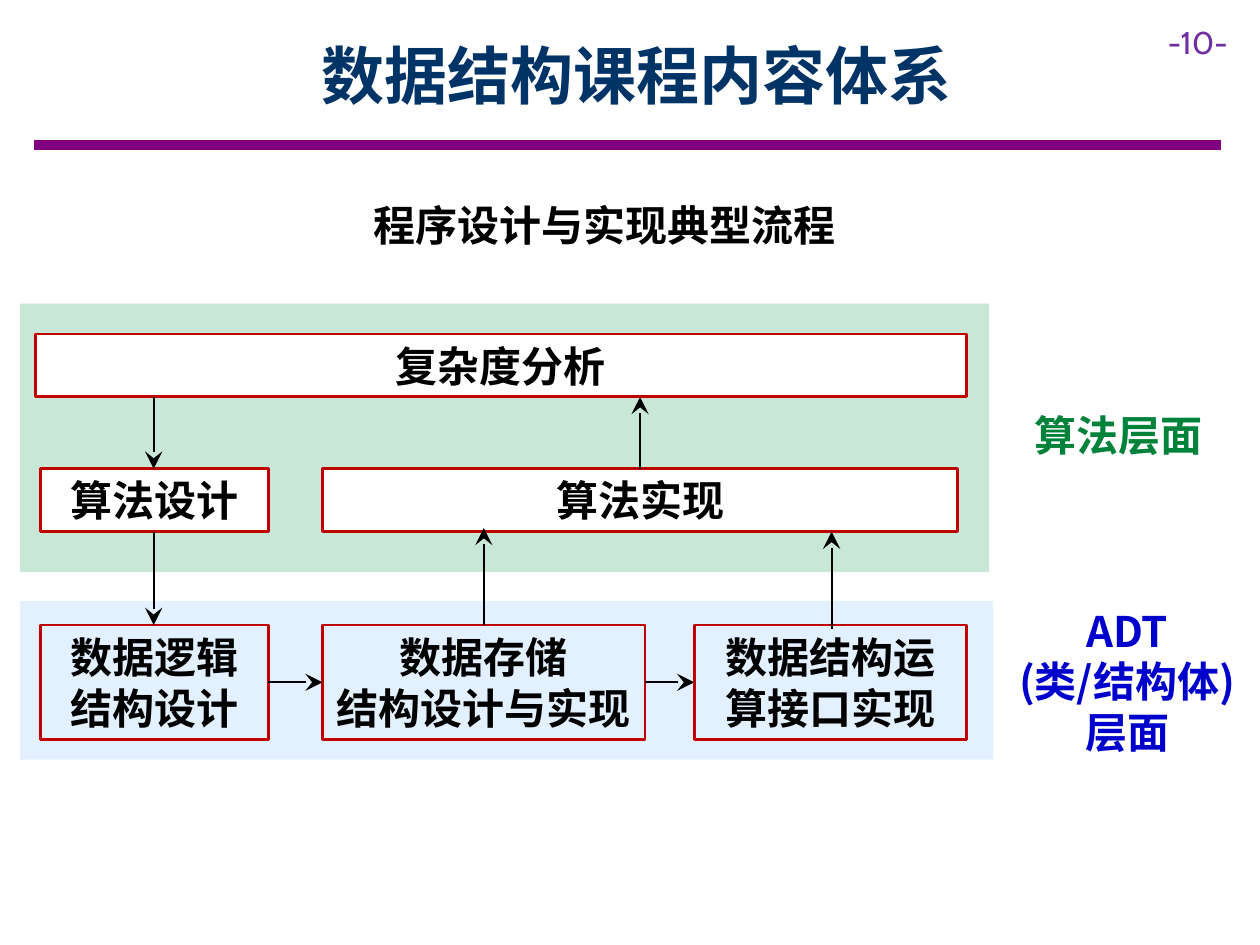
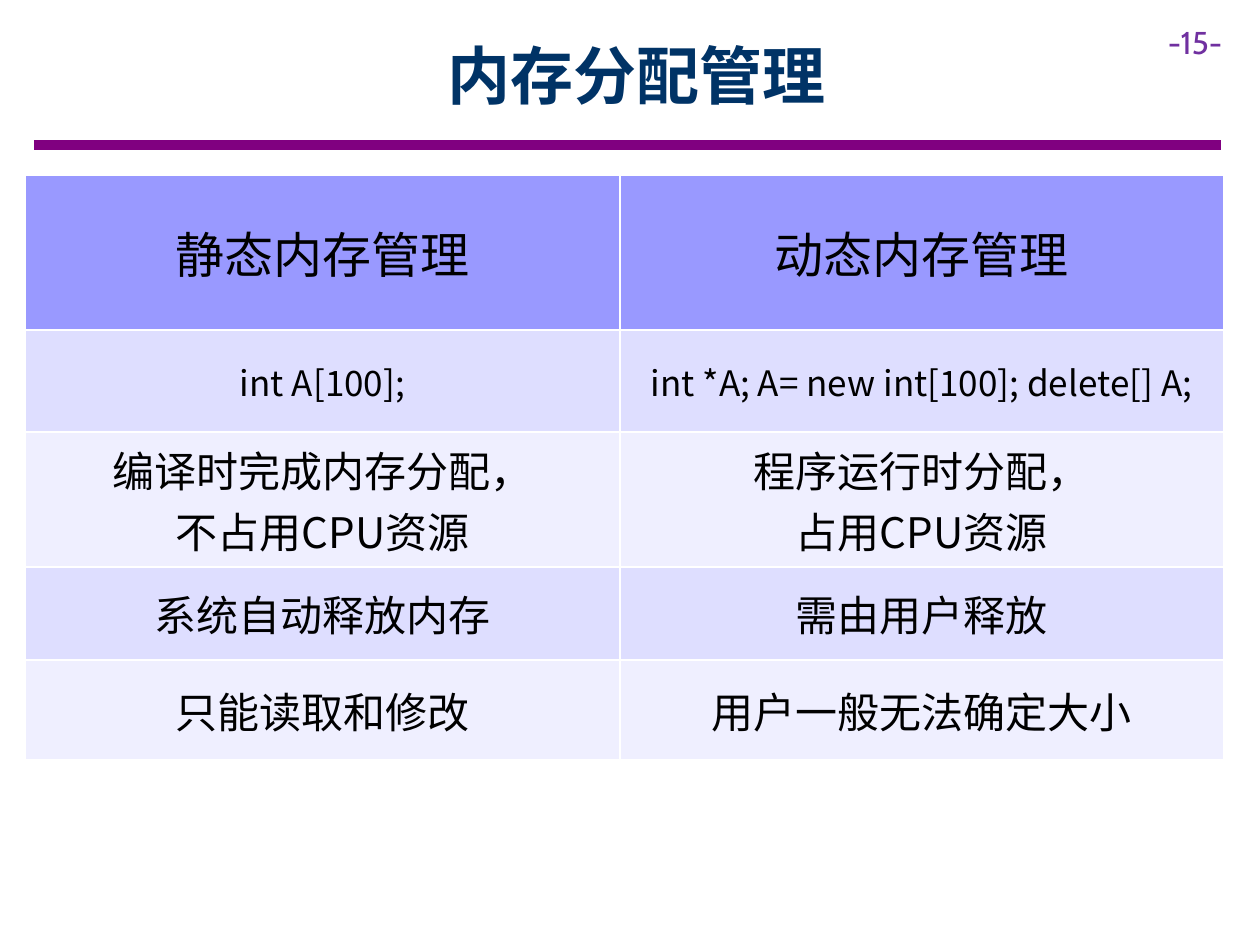
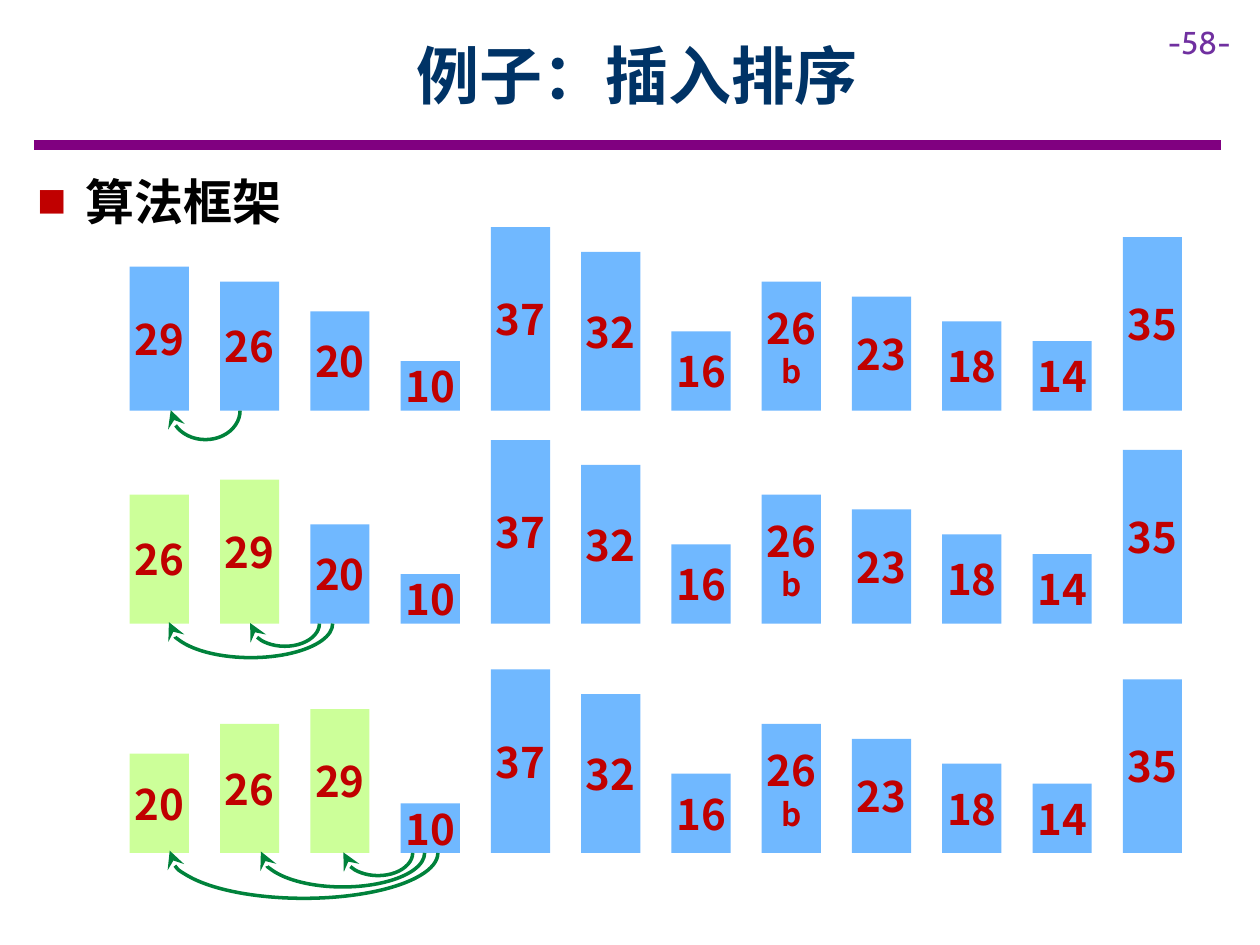
from lxml import etree
from pptx import Presentation
from pptx import util as u
from pptx.dml.color import RGBColor
from pptx.enum import shapes, text
from pptx.oxml.ns import qn

WIDTH, HEIGHT = u.Inches(10), u.Inches(7.5)
CELL = WIDTH / 10  # the slide is a grid of 10 columns by 7.5 rows
SANS, PAGE_FONT = "Noto Sans CJK SC", "Cabin"
COLORS = {
    "title": "003366", "rule": "800080", "page": "7030A0", "ink": "000000",
    "white": "FFFFFF", "red": "C00000", "green": "00823B", "blue": "0000CC",
    "algorithm": "009242", "adt": "99CCFF", "unsorted": "70B8FF", "sorted": "CCFF99",
    "header": "9999FF", "odd_row": "DEDEFF", "even_row": "EFEFFF",
}
CENTER, LEFT = text.PP_ALIGN.CENTER, text.PP_ALIGN.LEFT
TIGHT = 1.2  # line pitch as a share of the text size

BAR_WIDTH, BAR_STEP, BAR_LEFT, BAR_UNIT = 0.47, 0.7165, 1.03, 0.0394
UNSORTED_TAIL = [37, 32, 16, "26b", 23, 18, 14, 35]


def rgb(name):
    return RGBColor.from_string(COLORS[name])


def grid(*cells):
    return [round(cell * CELL) for cell in cells]


def add_xml(parent, tag, **attributes):
    return etree.SubElement(parent, qn(tag), attributes)


def style_line(line, color, width, arrow=False):
    line.color.rgb = rgb(color)
    line.width = u.Pt(width)
    if arrow:
        add_xml(line._get_or_add_ln(), "a:tailEnd", type="stealth", w="lg", len="lg")


def write(frame, lines, size=24, color="ink", bold=True, font=SANS, align=CENTER,
          pitch=None, **layout):
    """Fill a text frame; a line is a string or a (string, size) pair."""
    for name, value in layout.items():
        setattr(frame, name, value)
    for index, line in enumerate(lines):
        words, points = line if isinstance(line, tuple) else (line, size)
        paragraph = frame.paragraphs[0] if index == 0 else frame.add_paragraph()
        paragraph.alignment = align
        if pitch:
            paragraph.line_spacing = u.Pt(points * pitch)
        run = paragraph.add_run()
        run.text = words
        look = {"size": u.Pt(points), "bold": bold, "name": font}
        for name, value in look.items():
            setattr(run.font, name, value)
        run.font.color.rgb = rgb(color)
        add_xml(run._r.get_or_add_rPr(), "a:ea", typeface=font)


def layout_of(side=0.1, edge=0, wrap=True):
    return {
        "margin_left": u.Inches(side), "margin_right": u.Inches(side),
        "margin_top": u.Inches(edge), "margin_bottom": u.Inches(edge),
        "word_wrap": wrap, "vertical_anchor": text.MSO_ANCHOR.MIDDLE,
    }


def add_label(slide, place, lines, pitch=TIGHT, wrap=True, **look):
    frame = slide.shapes.add_textbox(*grid(*place)).text_frame
    write(frame, lines, pitch=pitch, **layout_of(wrap=wrap), **look)
    return frame


def add_block(slide, place, fill=None, outline=None, opacity=None,
              kind=shapes.MSO_SHAPE.RECTANGLE):
    block = slide.shapes.add_shape(kind, *grid(*place))
    block.shadow.inherit = False
    if fill:
        block.fill.solid()
        block.fill.fore_color.rgb = rgb(fill)
    else:
        block.fill.background()
    if opacity:
        tint = block.fill._xPr.find(".//" + qn("a:srgbClr"))
        add_xml(tint, "a:alpha", val=str(opacity * 1000))
    if outline:
        style_line(block.line, outline, 1.5)
    else:
        block.line.fill.background()
    return block


def add_straight(slide, start, end, color="ink", width=1.25, arrow=True):
    line = slide.shapes.add_connector(shapes.MSO_CONNECTOR.STRAIGHT, *grid(*start, *end))
    style_line(line.line, color, width, arrow)
    add_xml(line._element.spPr, "a:effectLst")


def start_slide(deck, title, page):
    """Add a slide with the rule, page number and title that all slides share."""
    slide = deck.slides.add_slide(deck.slide_layouts[6])
    add_straight(slide, (0.27, 1.15), (9.69, 1.15), "rule", 6, arrow=False)
    add_label(slide, (9.17, 0.13, 0.83, 0.4), [f"-{page}-"], pitch=None, size=18,
              color="page", bold=False, font=PAGE_FONT, align=LEFT)
    add_label(slide, (0.9, 0.09, 8.31, 1), [title], pitch=None, size=36, color="title")
    return slide


def add_step(slide, place, *lines, fill=None):
    step = add_block(slide, place, fill, "red")
    write(step.text_frame, lines, pitch=TIGHT, **layout_of())


def build_flow(deck):
    slide = start_slide(deck, "数据结构课程内容体系", 10)
    add_block(slide, (0.16, 2.41, 7.69, 2.13), "algorithm", opacity=21)
    add_block(slide, (0.16, 4.77, 7.72, 1.26), "adt", opacity=28)
    add_label(slide, (2.87, 1.53, 3.9, 0.5), ["程序设计与实现典型流程"],
              wrap=False, align=LEFT)
    add_label(slide, (7.85, 3.2, 2.05, 0.5), ["算法层面"], color="green")
    add_label(slide, (7.92, 4.75, 2.05, 1.31), ["ADT", "(类/结构体)层面"], color="blue")

    analysis, algorithm, structure = 2.65, 3.72, 4.96
    low, high = 0.5, 0.91
    logic, storage, interface = (0.32, 1.81), (2.56, 2.56), (5.51, 2.16)
    add_step(slide, (0.28, analysis, 7.39, low), "复杂度分析", fill="white")
    add_step(slide, (logic[0], algorithm, logic[1], low), "算法设计", fill="white")
    add_step(slide, (storage[0], algorithm, 5.04, low), "算法实现", fill="white")
    for (left, width), lines in (
        (logic, ("数据逻辑", "结构设计")),
        (storage, ("数据存储", "结构设计与实现")),
        (interface, ("数据结构运算接口实现",)),
    ):
        add_step(slide, (left, structure, width, high), *lines)

    for x, start, end in (
        (1.22, analysis + low, algorithm),
        (1.22, algorithm + low, structure),
        (5.08, algorithm, analysis + low),
        (3.84, structure, algorithm + low - 0.03),
        (6.6, structure + 0.03, algorithm + low),
    ):
        add_straight(slide, (x, start), (x, end))
    middle = structure + high / 2
    for (left, width), (target, _) in ((logic, storage), (storage, interface)):
        add_straight(slide, (left + width, middle), (target, middle))


def edge_cell(cell):
    properties = cell._tc.get_or_add_tcPr()
    for index, side in enumerate(("a:lnL", "a:lnR", "a:lnT", "a:lnB")):
        edge = etree.Element(qn(side), w=str(u.Pt(1)))
        add_xml(add_xml(edge, "a:solidFill"), "a:srgbClr", val=COLORS["white"])
        properties.insert(index, edge)


def build_memory(deck):
    slide = start_slide(deck, "内存分配管理", 15)
    rows = [
        (1.23, 28, ["静态内存管理"], ["动态内存管理"]),
        (0.81, 20, ["int A[100];"], ["int *A; A= new int[100]; delete[] A;"]),
        (1.07, 24, ["编译时完成内存分配，", "不占用CPU资源"], ["程序运行时分配，", "占用CPU资源"]),
        (0.74, 24, ["系统自动释放内存"], ["需由用户释放"]),
        (0.79, 24, ["只能读取和修改"], ["用户一般无法确定大小"]),
    ]
    total = sum(row[0] for row in rows)
    table = slide.shapes.add_table(len(rows), 2, *grid(0.2, 1.39, 9.51, total)).table
    table.first_row = table.horz_banding = False
    for column, width in zip(table.columns, grid(4.72, 4.79)):
        column.width = width
    for index, (height, size, *contents) in enumerate(rows):
        table.rows[index].height = grid(height)[0]
        band = "header" if index == 0 else ("even_row", "odd_row")[index % 2]
        for cell, lines in zip(table.rows[index].cells, contents):
            cell.fill.solid()
            cell.fill.fore_color.rgb = rgb(band)
            cell.vertical_anchor = text.MSO_ANCHOR.MIDDLE
            write(cell.text_frame, lines, size=size, bold=False)
            edge_cell(cell)


def add_bar(slide, position, item, base, fill):
    """Draw one number as a bar; a letter after it tells equal numbers apart."""
    digits = str(item)[:2]
    mark = str(item)[2:]
    height = int(digits) * BAR_UNIT
    place = (BAR_LEFT + position * BAR_STEP, base - height, BAR_WIDTH, height)
    bar = add_block(slide, place, fill)
    lines = [digits] + ([(mark, 18)] if mark else [])
    write(bar.text_frame, lines, color="red", pitch=TIGHT, **layout_of(side=0))


def add_move(slide, middle, base, span, depth):
    """Draw a half ellipse below the bars with its arrowhead on the left."""
    place = (middle - depth / 2, base - span / 2, depth, span)
    move = add_block(slide, place, kind=shapes.MSO_SHAPE.ARC)
    move.rotation = 90
    move.adjustments[0], move.adjustments[1] = 162, 54.6
    style_line(move.line, "green", 2, arrow=True)


def add_bullet(paragraph):
    properties = paragraph._p.get_or_add_pPr()
    indent = u.Inches(0.38)
    properties.set("marL", str(indent))
    properties.set("indent", str(-indent))
    add_xml(add_xml(properties, "a:buClr"), "a:srgbClr", val=COLORS["red"])
    add_xml(properties, "a:buSzPct", val="60000")
    add_xml(properties, "a:buFont", typeface=SANS)
    add_xml(properties, "a:buChar", char="■")


def build_sort(deck):
    slide = start_slide(deck, "例子：插入排序", 58)
    heading = add_label(slide, (0.2, 1.31, 9.45, 0.57), ["算法框架"], size=28, align=LEFT)
    add_bullet(heading.paragraphs[0])
    near, middle, far = (0.55, 0.36), (1.3, 0.54), (2.13, 0.72)
    passes = [
        (3.26, 0, [29, 26, 20, 10], [(1.63, (0.55, 0.46))]),
        (4.95, 2, [26, 29, 20, 10], [(2.26, near), (1.99, middle)]),
        (6.77, 3, [20, 26, 29, 10], [(3, near), (2.72, middle), (2.41, far)]),
    ]
    for base, sorted_count, head, moves in passes:
        for position, item in enumerate(head + UNSORTED_TAIL):
            fill = "sorted" if position < sorted_count else "unsorted"
            add_bar(slide, position, item, base, fill)
        for center, (span, depth) in moves:
            add_move(slide, center, base, span, depth)


def main():
    deck = Presentation()
    deck.slide_width, deck.slide_height = WIDTH, HEIGHT
    for build in (build_flow, build_memory, build_sort):
        build(deck)
    deck.save("out.pptx")


if __name__ == "__main__":
    main()
